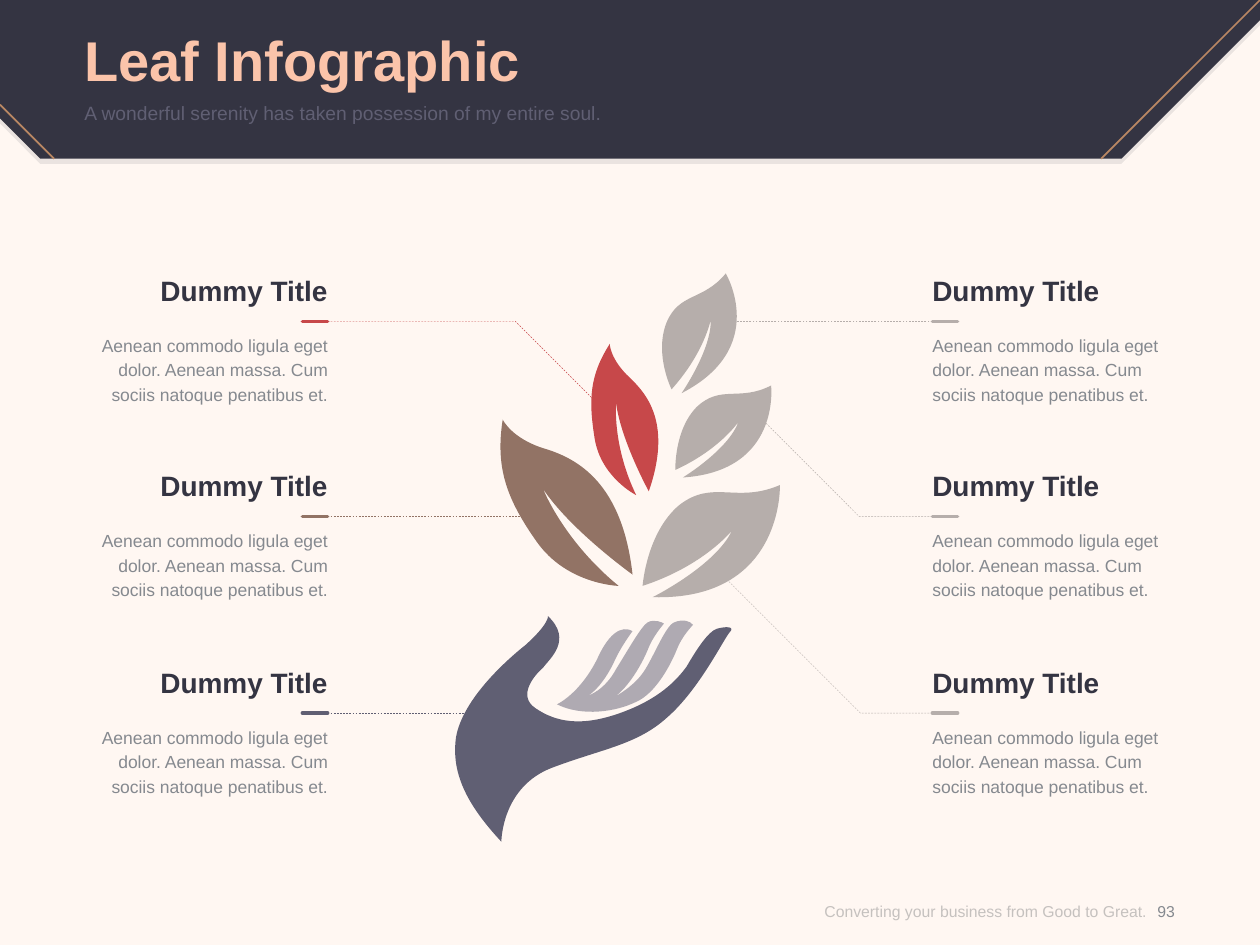
"""Build the leaf infographic slide with its header, labels, leaves and hand."""
from lxml import etree
from pptx import Presentation
from pptx import util as u
from pptx.dml.color import RGBColor
from pptx.enum import dml, shapes, text
from pptx.oxml.ns import qn

CREAM = RGBColor(0xFF, 0xF7, 0xF2)
NAVY = RGBColor(0x34, 0x34, 0x42)
PEACH = RGBColor(0xFB, 0xC4, 0xAA)
BRONZE = RGBColor(0xB9, 0x87, 0x63)
RED = RGBColor(0xC7, 0x48, 0x4A)
BROWN = RGBColor(0x92, 0x73, 0x65)
SLATE = RGBColor(0x60, 0x5F, 0x73)
STONE = RGBColor(0xB6, 0xAE, 0xAB)
GREY = RGBColor(0x85, 0x89, 0x8F)
SILVER = RGBColor(0x8C, 0x8C, 0x8C)

ROWS = (2.55, 4.1, 5.66)
BODY = "Aenean commodo ligula eget dolor. Aenean massa. Cum sociis natoque penatibus et."
HEADER = [(8.9, 1.26), (0.32, 1.26), (0, 0.94), (0, 0), (10, 0), (10, 0.16)]

LEADERS = [
    (RED, [(2.55, 2.55), (4.09, 2.55), (4.73, 3.19)]),
    (STONE, [(7.45, 2.55), (5.85, 2.55)]),
    (BROWN, [(2.55, 4.1), (4.2, 4.1)]),
    (STONE, [(7.45, 4.1), (6.82, 4.1), (6.05, 3.33)]),
    (SLATE, [(2.55, 5.66), (3.81, 5.66)]),
    (STONE, [(7.45, 5.66), (6.83, 5.66), (5.72, 4.55)]),
]

LEAVES = [
    (STONE, (5.1, 4.65), [
        (5.1, 4.65, 5.13, 4.23, 5.39, 4.01), (5.66, 3.8, 5.84, 4, 6.19, 3.85),
        (6.19, 3.85, 6.22, 4.77, 5.18, 4.74), (5.18, 4.74, 5.68, 4.49, 5.81, 4.21),
        (5.81, 4.21, 5.59, 4.49, 5.1, 4.65)]),
    (BROWN, (4.91, 4.65), [
        (4.91, 4.65, 4.5, 4.64, 4.26, 4.3), (4.02, 3.96, 3.93, 3.71, 3.99, 3.33),
        (3.99, 3.33, 4.06, 3.48, 4.32, 3.56), (4.59, 3.64, 4.94, 3.84, 5.02, 4.56),
        (5.02, 4.56, 4.53, 4.21, 4.31, 3.88), (4.31, 3.88, 4.47, 4.29, 4.91, 4.65)]),
    (STONE, (5.36, 3.73), [
        (5.36, 3.73, 5.35, 3.41, 5.53, 3.23), (5.72, 3.05, 5.87, 3.19, 6.12, 3.06),
        (6.12, 3.06, 6.2, 3.74, 5.42, 3.79), (5.42, 3.79, 5.78, 3.57, 5.86, 3.35),
        (5.86, 3.35, 5.71, 3.57, 5.36, 3.73)]),
    (STONE, (5.33, 3.09), [
        (5.33, 3.09, 5.19, 2.81, 5.29, 2.56), (5.39, 2.32, 5.58, 2.39, 5.76, 2.17),
        (5.76, 2.17, 6.11, 2.76, 5.41, 3.12), (5.41, 3.12, 5.65, 2.77, 5.64, 2.54),
        (5.64, 2.54, 5.59, 2.8, 5.33, 3.09)]),
    (RED, (5.05, 3.93), [
        (5.05, 3.93, 4.77, 3.79, 4.72, 3.48), (4.67, 3.17, 4.68, 2.98, 4.84, 2.73),
        (4.84, 2.73, 4.84, 2.85, 5, 3), (5.15, 3.14, 5.33, 3.38, 5.15, 3.9),
        (5.15, 3.9, 4.93, 3.5, 4.89, 3.2), (4.89, 3.2, 4.86, 3.54, 5.05, 3.93)]),
]
PALM = ((4.35, 4.89), [
    (4.35, 4.89, 4.36, 4.95, 4.17, 5.12), (3.97, 5.28, 3.67, 5.57, 3.62, 5.85),
    (3.58, 6.13, 3.7, 6.38, 3.98, 6.68), (3.98, 6.68, 3.98, 6.24, 4.39, 6.09),
    (4.79, 5.94, 5.06, 5.91, 5.3, 5.69), (5.55, 5.47, 5.74, 5.08, 5.79, 5.02),
    (5.84, 4.97, 5.76, 4.97, 5.69, 4.99), (5.62, 5.01, 5.52, 5.17, 5.45, 5.29),
    (5.37, 5.4, 5.23, 5.55, 4.92, 5.66), (4.61, 5.77, 4.41, 5.73, 4.25, 5.62),
    (4.1, 5.52, 4.25, 5.35, 4.31, 5.3), (4.36, 5.23, 4.55, 5.08, 4.35, 4.89)])
FINGERS = ((4.42, 5.59), [
    (4.42, 5.59, 4.6, 5.51, 4.74, 5.23), (4.87, 4.94, 4.99, 4.99, 5.02, 5.01),
    (5.02, 5.01, 4.93, 5.13, 4.88, 5.24), (4.83, 5.35, 4.75, 5.47, 4.67, 5.52),
    (4.67, 5.52, 4.8, 5.48, 4.89, 5.31), (4.99, 5.15, 5.09, 4.97, 5.14, 4.94),
    (5.19, 4.91, 5.26, 4.94, 5.27, 4.95), (5.27, 4.95, 5.18, 5.05, 5.14, 5.16),
    (5.09, 5.28, 4.99, 5.45, 4.88, 5.53), (4.88, 5.53, 5.03, 5.45, 5.11, 5.33),
    (5.19, 5.21, 5.28, 4.97, 5.35, 4.94), (5.42, 4.91, 5.48, 4.93, 5.5, 4.96),
    (5.5, 4.96, 5.41, 5.05, 5.37, 5.16), (5.33, 5.26, 5.21, 5.5, 5.05, 5.57),
    (4.89, 5.65, 4.62, 5.69, 4.42, 5.59)])


def bend(shape):
    parts = list(shape.element.iter(qn("a:lnTo")))
    for first in range(0, len(parts), 3):
        curve = etree.Element(qn("a:cubicBezTo"))
        parts[first].addprevious(curve)
        for part in parts[first:first + 3]:
            curve.append(part[0])
            part.getparent().remove(part)


def fade(shape, percent):
    color = next(shape.element.iter(qn("a:srgbClr")))
    etree.SubElement(color, qn("a:alpha")).set("val", str(percent * 1000))


class Deck:
    font = "Arial"

    def __init__(self):
        self.show = Presentation()
        self.show.slide_width, self.show.slide_height = u.Inches(10), u.Inches(7.5)
        self.slide = self.show.slides.add_slide(self.show.slide_layouts[6])
        fill = self.slide.background.fill
        fill.solid()
        fill.fore_color.rgb = CREAM

    def outline(self, points, close):
        spots = [(u.Inches(x), u.Inches(y)) for x, y in points]
        pen = self.slide.shapes.build_freeform(*spots[0])
        pen.add_line_segments(spots[1:], close=close)
        shape = pen.convert_to_shape()
        shape.shadow.inherit = False
        return shape

    def area(self, points, color, percent=100):
        shape = self.outline(points, True)
        shape.fill.solid()
        shape.fill.fore_color.rgb = color
        shape.line.fill.background()
        if percent < 100:
            fade(shape, percent)
        return shape

    def leaf(self, start, curves, color, percent=100):
        points = [start]
        for curve in curves:
            points.extend(zip(curve[::2], curve[1::2]))
        shape = self.area(points, color, percent)
        bend(shape)

    def line(self, points, color, width, dash=None, cap="flat"):
        if len(points) == 2:
            ends = [u.Inches(n) for point in points for n in point]
            shape = self.slide.shapes.add_connector(shapes.MSO_CONNECTOR.STRAIGHT, *ends)
        else:
            shape = self.outline(points, False)
            shape.fill.background()
        shape.line.color.rgb = color
        shape.line.width = u.Pt(width)
        shape.line.dash_style = dash
        props = shape.element.spPr
        props.find(qn("a:ln")).set("cap", cap)
        if len(points) == 2:
            etree.SubElement(props, qn("a:effectLst"))

    def text(self, words, place, size, color, bold=False, align="LEFT",
             anchor="TOP", space=None):
        box = self.slide.shapes.add_textbox(*[u.Inches(n) for n in place])
        frame = box.text_frame
        frame.text = words
        frame.word_wrap = True
        frame.margin_left = frame.margin_right = frame.margin_top = frame.margin_bottom = 0
        frame.vertical_anchor = text.MSO_ANCHOR[anchor]
        para = frame.paragraphs[0]
        para.alignment = text.PP_ALIGN[align]
        if space:
            para.line_spacing = u.Pt(space)
        font = para.runs[0].font
        font.name, font.size, font.bold = self.font, u.Pt(size), bold
        font.color.rgb = color
        return box

    def label(self, left, row, tick, color, align):
        self.text(BODY, (left, row + 0.08, 1.93, 0.57), 10, GREY, align=align, space=14)
        self.line([(tick, row), (tick + 0.2, row)], color, 2, cap="rnd")
        self.text("Dummy Title", (left, row - 0.38, 1.93, 0.27), 16, NAVY, True, align)


def main():
    deck = Deck()
    deck.area([(x, y + 0.04) for x, y in HEADER], NAVY, 10)
    deck.area(HEADER, NAVY)
    deck.line([(10, 0), (8.74, 1.26)], BRONZE, 1)
    deck.line([(0, 0.83), (0.43, 1.26)], BRONZE, 1)
    for color, points in LEADERS:
        deck.line(points, color, 0.25, dml.MSO_LINE.DASH)

    deck.text("Leaf Infographic", (0.67, 0.14, 8.66, 0.65), 32, PEACH, True, anchor="MIDDLE")
    motto = deck.text("Converting your business from Good to Great.",
                      (6.04, 6.96, 3.06, 0.54), 9, SILVER, align="RIGHT", anchor="MIDDLE")
    fade(motto, 50)
    deck.text("93", (9.02, 6.96, 0.47, 0.54), 9, GREY, align="CENTER", anchor="MIDDLE")
    deck.text("A wonderful serenity has taken possession of my entire soul.",
              (0.67, 0.8, 8.66, 0.39), 11, SLATE)

    for row, color in zip(ROWS, (RED, BROWN, SLATE)):
        deck.label(0.67, row, 2.4, color, "RIGHT")
    for row in ROWS:
        deck.label(7.4, row, 7.4, STONE, "LEFT")

    for color, start, curves in LEAVES:
        deck.leaf(start, curves, color)
    deck.leaf(*PALM, SLATE)
    deck.leaf(*FINGERS, SLATE, 50)
    deck.show.save("out.pptx")


if __name__ == "__main__":
    main()
